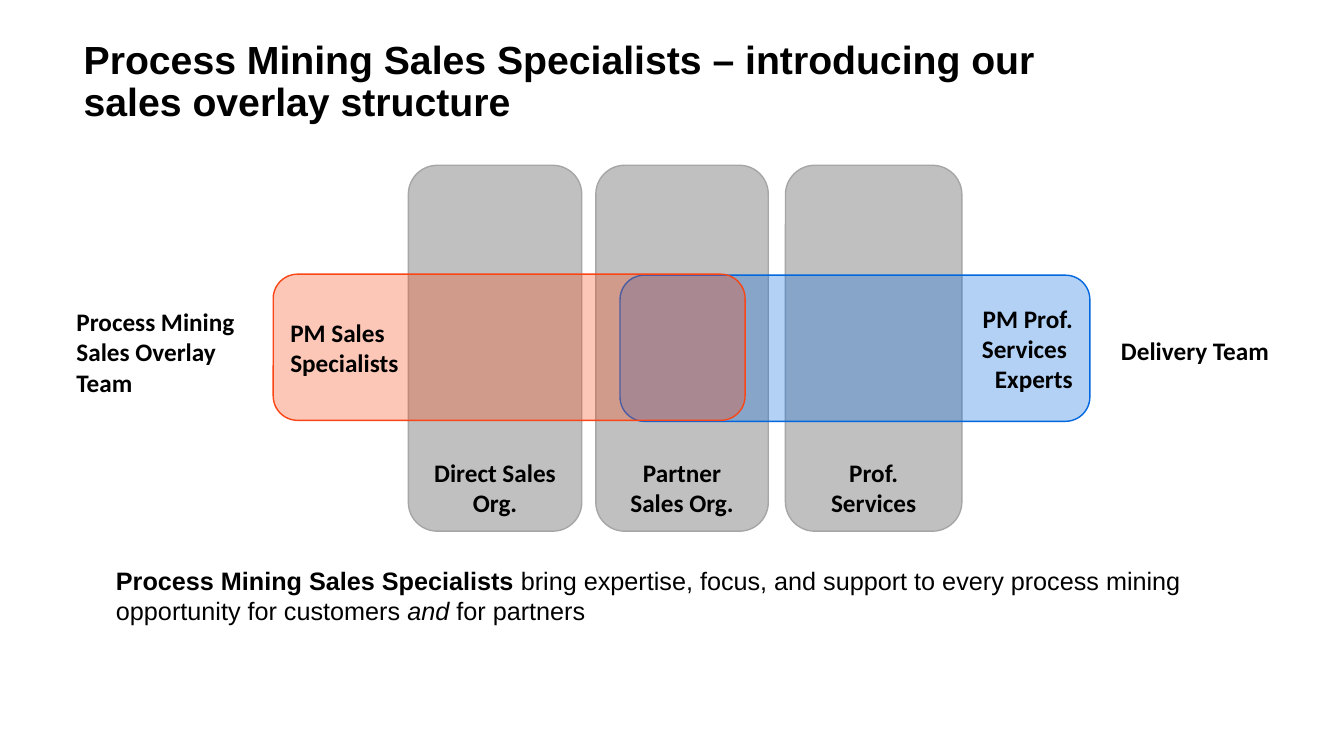
"""Build the slide that introduces the process mining sales overlay structure."""
import pptx
import pptx.dml.color
import pptx.enum.shapes
import pptx.enum.text
import pptx.oxml
import pptx.oxml.ns
import pptx.util
from pptx.util import Inches

ALIGN = pptx.enum.text.PP_ALIGN
ANCHOR = pptx.enum.text.MSO_ANCHOR

COLORS = {"text": "000000", "organization": "A6A6A6", "delivery": "0067DF", "sales": "FA4616"}

TITLE = "Process Mining Sales Specialists – introducing our sales overlay structure"
TITLE_BOX = (0.73, 0.35, 10.71, 0.64)
SUMMARY = [
    ("Process Mining Sales Specialists ", {"bold": True}),
    ("bring expertise, focus, and support to every process mining opportunity for customers ", {}),
    ("and ", {"italic": True}),
    ("for partners", {}),
]
SUMMARY_BOX = (1.05, 5.56, 10.99, 0.71)

COLUMN_TOP, COLUMN_HEIGHT = 1.64, 3.63
ORGANIZATIONS = [
    (4.05, 1.72, ["Direct Sales Org."]),
    (5.91, 1.71, ["Partner Sales Org."]),
    (7.79, 1.75, ["Prof.", "Services"]),
]
OVERLAYS = [
    ((6.15, 2.73, 4.66, 1.45), "delivery", ALIGN.RIGHT, ["PM Prof.", "Services ", "Experts"]),
    ((2.71, 2.72, 4.68, 1.45), "sales", ALIGN.LEFT, ["PM Sales", "Specialists"]),
]
TEAMS = [
    ((0.66, 2.99, 2.01, 1.01), ["Process Mining", "Sales Overlay", "Team"]),
    ((11.02, 3.28, 1.8, 0.4), ["Delivery Team"]),
]

TITLE_FONT = {"name": "Arial", "size": pptx.util.Pt(28), "bold": True}
SUMMARY_FONT = {"name": "Arial", "size": pptx.util.Pt(18), "bold": False, "italic": False}
LABEL_FONT = {"name": "Calibri", "size": pptx.util.Pt(18), "bold": True}
FRAME = {"word_wrap": True, "auto_size": pptx.enum.text.MSO_AUTO_SIZE.NONE}
FLUSH = {"alignment": ALIGN.LEFT, "space_before": pptx.util.Pt(0)}


def apply(target, values):
    for name, value in values.items():
        setattr(target, name, value)


def rgb(name):
    return pptx.dml.color.RGBColor.from_string(COLORS[name])


def style(font, values):
    apply(font, values)
    font.color.rgb = rgb("text")


def place(placeholder, box):
    apply(placeholder, dict(zip(("left", "top", "width", "height"), map(Inches, box))))
    apply(placeholder.text_frame, {**FRAME, "vertical_anchor": ANCHOR.TOP})


def write_label(frame, lines, alignment, anchor):
    apply(frame, {**FRAME, "vertical_anchor": anchor})
    for index, line in enumerate(lines):
        paragraph = frame.paragraphs[0] if index == 0 else frame.add_paragraph()
        paragraph.alignment = alignment
        run = paragraph.add_run()
        run.text = line
        style(run.font, LABEL_FONT)


def add_band(slide, box, color, opacity, lines, alignment, anchor):
    band = slide.shapes.add_shape(
        pptx.enum.shapes.MSO_SHAPE.ROUNDED_RECTANGLE, *map(Inches, box))
    band.shadow.inherit = False
    band.fill.solid()
    band.fill.fore_color.rgb = rgb(color)
    fill_color = band._element.spPr.find(pptx.oxml.ns.qn("a:solidFill"))[0]
    fill_color.append(pptx.oxml.parse_xml(
        f'<a:alpha {pptx.oxml.ns.nsdecls("a")} val="{opacity * 1000}"/>'))
    band.line.color.rgb = rgb(color)
    band.line.width = pptx.util.Pt(1)
    write_label(band.text_frame, lines, alignment, anchor)


def main():
    deck = pptx.Presentation()
    apply(deck, {"slide_width": Inches(13.33), "slide_height": Inches(7.5)})
    slide = deck.slides.add_slide(deck.slide_layouts[1])

    title = slide.shapes.title
    place(title, TITLE_BOX)
    title.text_frame.text = TITLE
    heading = title.text_frame.paragraphs[0]
    apply(heading, {**FLUSH, "line_spacing": 0.9})
    style(heading.runs[0].font, TITLE_FONT)

    summary = slide.placeholders[1]
    place(summary, SUMMARY_BOX)
    statement = summary.text_frame.paragraphs[0]
    properties = statement._p.get_or_add_pPr()
    properties.set("marL", "0")
    properties.set("indent", "0")
    properties.append(pptx.oxml.parse_xml(f'<a:buNone {pptx.oxml.ns.nsdecls("a")}/>'))
    apply(statement, FLUSH)
    for words, emphasis in SUMMARY:
        run = statement.add_run()
        run.text = words
        style(run.font, {**SUMMARY_FONT, **emphasis})

    for left, width, lines in ORGANIZATIONS:
        add_band(slide, (left, COLUMN_TOP, width, COLUMN_HEIGHT), "organization", 70,
                 lines, ALIGN.CENTER, ANCHOR.BOTTOM)
    for box, color, alignment, lines in OVERLAYS:
        add_band(slide, box, color, 30, lines, alignment, ANCHOR.MIDDLE)
    for box, lines in TEAMS:
        team = slide.shapes.add_textbox(*map(Inches, box))
        write_label(team.text_frame, lines, ALIGN.LEFT, ANCHOR.TOP)

    deck.save("out.pptx")


if __name__ == "__main__":
    main()
